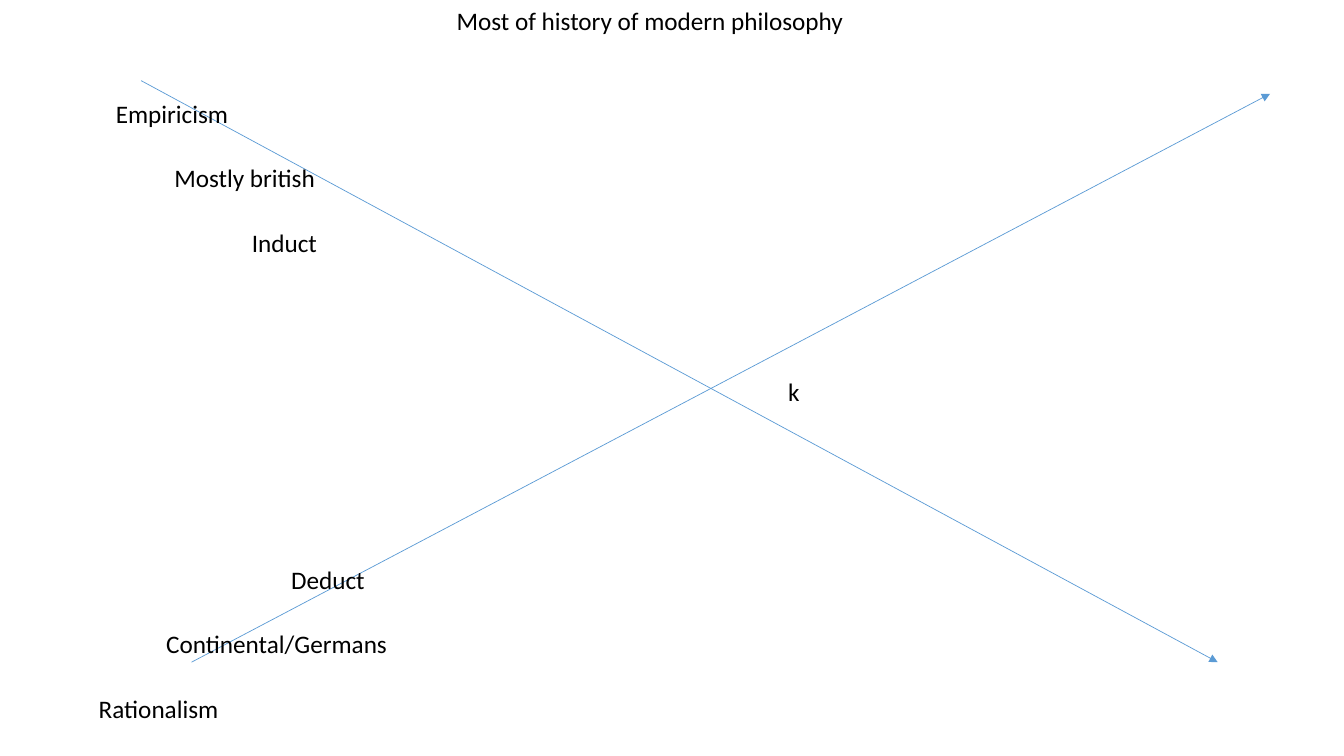
from pptx import Presentation
from pptx.dml.color import RGBColor
from pptx.enum.shapes import MSO_CONNECTOR as Connector
from pptx.enum.text import MSO_AUTO_SIZE as AutoSize
from pptx.oxml.ns import qn
from pptx.util import Pt
from lxml.etree import SubElement

BLACK = RGBColor(0x00, 0x00, 0x00)
BLUE = RGBColor(0x5B, 0x9B, 0xD5)


class SlideBuilder:
    font_name = "Calibri"
    font_size = 18
    label_height = 29
    line_width = 0.5

    def __init__(self, slide):
        self.slide = slide

    def arrow(self, x1, y1, x2, y2):
        arrow = self.slide.shapes.add_connector(
            Connector.STRAIGHT, Pt(x1), Pt(y1), Pt(x2), Pt(y2))
        arrow.line.color.rgb = BLUE
        arrow.line.width = Pt(self.line_width)
        # Arrowhead at the end, and no shadow
        SubElement(arrow.line._get_or_add_ln(), qn("a:tailEnd"), type="triangle")
        SubElement(arrow._element.spPr, qn("a:effectLst"))

    def label(self, text, left, top, width):
        box = self.slide.shapes.add_textbox(
            Pt(left), Pt(top), Pt(width), Pt(self.label_height))
        frame = box.text_frame
        frame.word_wrap = True
        frame.auto_size = AutoSize.SHAPE_TO_FIT_TEXT
        paragraph = frame.paragraphs[0]
        paragraph.text = text
        paragraph.font.name = self.font_name
        paragraph.font.size = Pt(self.font_size)
        paragraph.font.color.rgb = BLACK


def main():
    deck = Presentation()
    deck.slide_width, deck.slide_height = Pt(960), Pt(540)
    builder = SlideBuilder(deck.slides.add_slide(deck.slide_layouts[6]))

    # Crossing arrows: empiricism downwards, rationalism upwards
    builder.arrow(100.8, 57.6, 869.8, 473)
    builder.arrow(136.8, 473, 907.2, 67)

    # Labels: text, left, top, width
    labels = [
        ("Empiricism", 75.6, 67, 138.2),
        ("Rationalism", 63.4, 491.8, 138.2),
        ("k", 555.8, 265, 66.2),
        ("Mostly british", 117.4, 112.3, 122.4),
        ("Continental/Germans", 111.6, 445, 178.6),
        ("Induct", 172.8, 159.1, 312.5),
        ("Deduct", 200.9, 399.6, 312.5),
        ("Most of history of modern philosophy", 319, 0, 332.6),
    ]
    for label in labels:
        builder.label(*label)

    deck.save("out.pptx")


if __name__ == "__main__":
    main()
